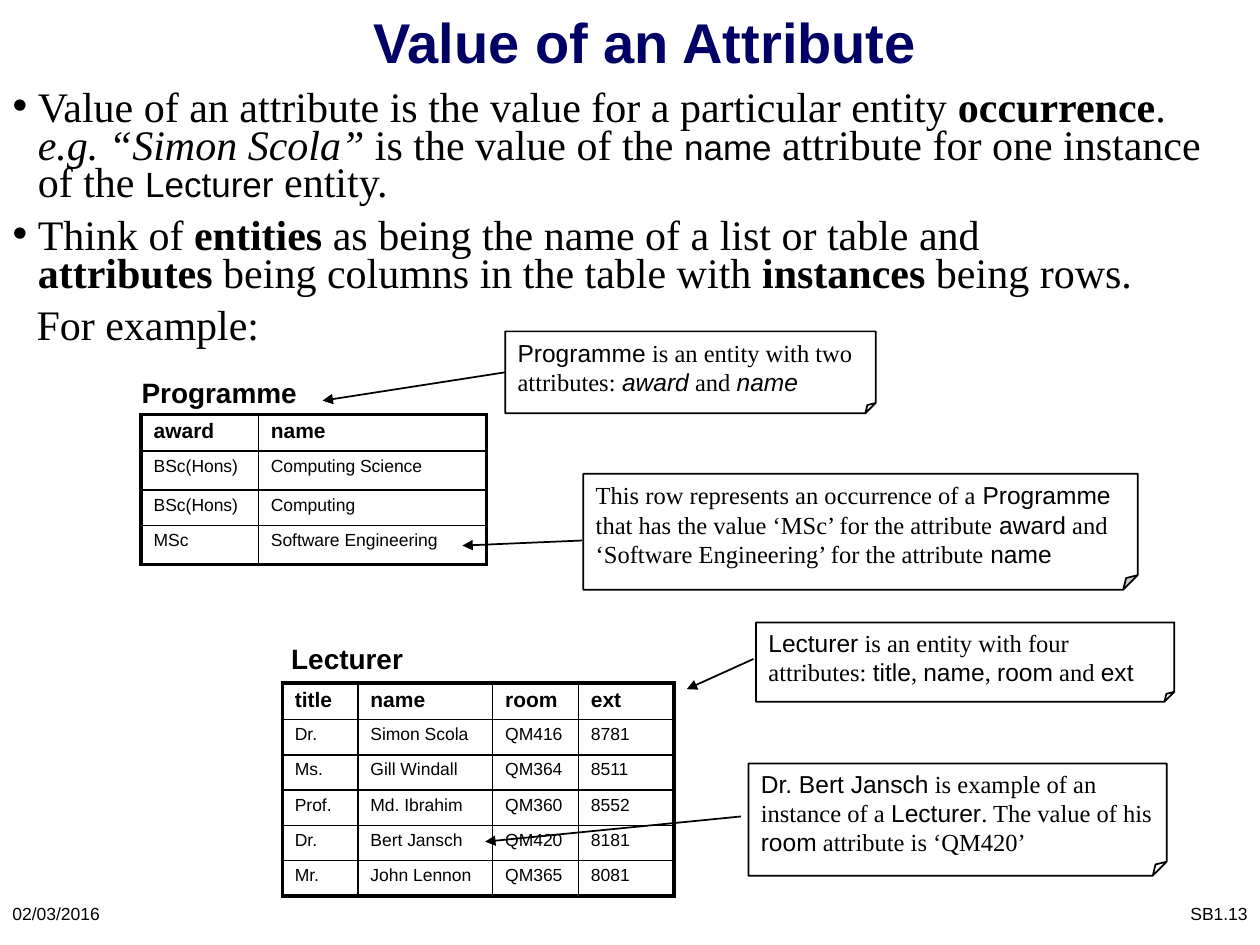
import pptx
import pptx.util
import pptx.dml.color
import pptx.enum.shapes
import pptx.enum.text
import pptx.oxml
import pptx.oxml.ns

Inches = pptx.util.Inches
Pt = pptx.util.Pt
ALIGN = pptx.enum.text.PP_ALIGN
ANCHOR = pptx.enum.text.MSO_ANCHOR

COLORS = {"ink": "000000", "title": "000066", "paper": "FFFFFF"}
SERIF, SANS = "Times New Roman", "Arial"

FONTS = {
    "title": {"name": SANS, "size": Pt(32), "bold": True},
    "body": {"name": SERIF, "size": Pt(24), "bold": False, "italic": False},
    "strong": {"name": SERIF, "size": Pt(24), "bold": True},
    "example": {"name": SERIF, "size": Pt(24), "italic": True},
    "term": {"name": SANS, "size": Pt(20)},
    "caption": {"name": SANS, "size": Pt(16), "bold": True},
    "note": {"name": SERIF, "size": Pt(14)},
    "note term": {"name": SANS, "size": Pt(14)},
    "note attribute": {"name": SANS, "size": Pt(14), "italic": True},
    "header": {"name": SANS, "size": Pt(12), "bold": True},
    "cell": {"name": SANS, "size": Pt(10), "bold": False},
    "footer": {"name": SANS, "size": Pt(10)},
}

BULLETS = [
    [("Value of an attribute is the value for a particular entity ", "body"),
     ("occurrence", "strong"), (".  \n", "body"), ("e.g. “Simon Scola” ", "example"),
     ("is the value of the ", "body"), ("name", "term"),
     (" attribute for one instance of the ", "body"), ("Lecturer", "term"),
     (" entity.", "body")],
    [("Think of ", "body"), ("entities", "strong"),
     (" as being the name of a list or table and \n", "body"), ("attributes", "strong"),
     (" being columns in the table with ", "body"), ("instances", "strong"),
     (" being rows.", "body")],
]

PROGRAMMES = [
    ["award", "name"],
    ["BSc(Hons)", "Computing Science"],
    ["BSc(Hons)", "Computing"],
    ["MSc", "Software Engineering"],
]

LECTURERS = [
    ["title", "name", "room", "ext"],
    ["Dr.", "Simon Scola", "QM416", "8781"],
    ["Ms.", "Gill Windall", "QM364", "8511"],
    ["Prof.", "Md. Ibrahim", "QM360", "8552"],
    ["Dr.", "Bert Jansch", "QM420", "8181"],
    ["Mr.", "John Lennon", "QM365", "8081"],
]

ROW_NOTE = [
    ("This row represents an occurrence of a ", "note"), ("Programme", "note term"),
    (" that has the value ‘MSc’ for the attribute ", "note"), ("award", "note term"),
    (" and ‘Software Engineering’ for the attribute ", "note"), ("name", "note term")]
PROGRAMME_NOTE = [
    ("Programme", "note term"), (" is an entity with two attributes: ", "note"),
    ("award", "note attribute"), (" and ", "note"), ("name", "note attribute")]
LECTURER_NOTE = [
    ("Lecturer", "note term"), (" is an entity with four attributes: ", "note"),
    ("title", "note term"), (", ", "note"), ("name", "note term"), (", ", "note"),
    ("room", "note term"), (" and ", "note"), ("ext", "note term")]
INSTANCE_NOTE = [
    ("Dr. Bert Jansch", "note term"), (" is example of an instance of a ", "note"),
    ("Lecturer", "note term"), (". The value of his ", "note"),
    ("room", "note term"), (" attribute is ‘QM420’", "note")]


def rgb(color):
    """Return the named colour."""
    return pptx.dml.color.RGBColor.from_string(COLORS[color])


def apply_format(target, values):
    """Set each attribute of target from a dict."""
    for attribute, value in values.items():
        setattr(target, attribute, value)


def write(paragraph, runs, color="ink", **values):
    """Fill a paragraph with styled runs; a newline becomes a line break."""
    apply_format(paragraph, values)
    for text, style in runs:
        for index, part in enumerate(text.split("\n")):
            if index:
                paragraph.add_line_break()
            if part:
                run = paragraph.add_run()
                run.text = part
                apply_format(run.font, FONTS[style])
                run.font.color.rgb = rgb(color)


def place(shape, left, top, width, height):
    """Move and size a shape in inches."""
    apply_format(shape, {"left": Inches(left), "top": Inches(top),
                         "width": Inches(width), "height": Inches(height)})


def fill_title(shape):
    """Write the slide title."""
    place(shape, 0.87, 0, 8.5, 0.66)
    apply_format(shape.text_frame, {"vertical_anchor": ANCHOR.MIDDLE, "word_wrap": True,
                                    "auto_size": pptx.enum.text.MSO_AUTO_SIZE.NONE})
    write(shape.text_frame.paragraphs[0], [("Value of an Attribute", "title")],
          "title", alignment=ALIGN.CENTER)


def set_bullet(paragraph, margin, indent, character=None):
    """Set the indents and the bullet of a paragraph."""
    properties = paragraph._p.get_or_add_pPr()
    properties.set("marL", str(Inches(margin)))
    properties.set("indent", str(Inches(indent)))
    bullet = pptx.oxml.ns.qn("a:buChar" if character else "a:buNone")
    element = properties.makeelement(bullet, {"char": character} if character else {})
    properties.append(element)


def fill_body(shape):
    """Write the bulleted list and the line that leads to the tables."""
    place(shape, 0, 0.68, 9.88, 2.26)
    frame = shape.text_frame
    apply_format(frame, {"vertical_anchor": ANCHOR.TOP, "word_wrap": True,
                         "auto_size": pptx.enum.text.MSO_AUTO_SIZE.NONE})
    spacing = {"line_spacing": 0.75, "space_before": Pt(8.4)}
    for index, runs in enumerate(BULLETS):
        paragraph = frame.add_paragraph() if index else frame.paragraphs[0]
        write(paragraph, runs, **spacing)
        set_bullet(paragraph, 0.2, -0.2, "•")
    paragraph = frame.add_paragraph()
    write(paragraph, [("For example:", "body")], **spacing)
    set_bullet(paragraph, 0.19, 0)


def add_label(slide, text, style, box, alignment, anchor=ANCHOR.TOP):
    """Add a single line of text that does not wrap."""
    label = slide.shapes.add_textbox(*map(Inches, box))
    apply_format(label.text_frame, {"word_wrap": False, "vertical_anchor": anchor})
    write(label.text_frame.paragraphs[0], [(text, style)], alignment=alignment)


def set_borders(cell, outer_sides):
    """Draw the cell borders, heavier on the sides at the table's edge."""
    properties = cell._tc.get_or_add_tcPr()
    for index, side in enumerate("LRTB"):
        width = Pt(2.25) if side in outer_sides else Pt(1)
        properties.insert(index, pptx.oxml.parse_xml(
            f'<a:ln{side} {pptx.oxml.ns.nsdecls("a")} w="{width}"><a:solidFill>'
            f'<a:srgbClr val="{COLORS["ink"]}"/></a:solidFill></a:ln{side}>'))


def add_entity_table(slide, left, top, widths, heights, rows):
    """Add a table with a bold header row and a heavy frame."""
    table = slide.shapes.add_table(
        len(rows), len(widths), Inches(left), Inches(top),
        Inches(sum(widths)), Inches(sum(heights))).table
    apply_format(table, {"first_row": False, "horz_banding": False})
    for column, width in zip(table.columns, widths):
        column.width = Inches(width)
    for row, height in zip(table.rows, heights):
        row.height = Inches(height)
    for row_index, values in enumerate(rows):
        style = "cell" if row_index else "header"
        for column_index, value in enumerate(values):
            cell = table.cell(row_index, column_index)
            cell.fill.solid()
            cell.fill.fore_color.rgb = rgb("paper")
            edges = {"L": column_index == 0, "R": column_index == len(widths) - 1,
                     "T": row_index == 0, "B": row_index == len(rows) - 1}
            set_borders(cell, [side for side, outer in edges.items() if outer])
            write(cell.text_frame.paragraphs[0], [(value, style)], line_spacing=0.95,
                  space_before=int(FONTS[style]["size"] * 0.35))


def add_note(slide, box, runs, fill=None):
    """Add a note with a folded corner."""
    note = slide.shapes.add_shape(
        pptx.enum.shapes.MSO_SHAPE.FOLDED_CORNER, *map(Inches, box))
    guides = note._element.spPr.find(".//" + pptx.oxml.ns.qn("a:avLst"))
    guides.append(guides.makeelement(pptx.oxml.ns.qn("a:gd"),
                                     {"name": "adj", "fmla": "val 12500"}))
    note.shadow.inherit = False
    note.fill.background()
    if fill:
        note.fill.solid()
        note.fill.fore_color.rgb = rgb(fill)
    note.line.color.rgb = rgb("ink")
    note.line.width = Pt(1)
    apply_format(note.text_frame, {"word_wrap": True, "vertical_anchor": ANCHOR.MIDDLE})
    write(note.text_frame.paragraphs[0], runs, alignment=ALIGN.LEFT, space_before=Pt(2.8))
    return note


def add_arrow(slide, start, end):
    """Add a straight arrow."""
    arrow = slide.shapes.add_connector(
        pptx.enum.shapes.MSO_CONNECTOR.STRAIGHT, *map(Inches, start + end))
    arrow.line.color.rgb = rgb("ink")
    arrow.line.width = Pt(1)
    namespace = pptx.oxml.ns.nsdecls("a")
    arrow.line._get_or_add_ln().append(
        pptx.oxml.parse_xml(f'<a:tailEnd {namespace} type="triangle"/>'))
    arrow._element.spPr.append(pptx.oxml.parse_xml(f"<a:effectLst {namespace}/>"))
    return arrow


def main():
    """Build the slide and save it."""
    presentation = pptx.Presentation()
    apply_format(presentation, {"slide_width": Inches(10), "slide_height": Inches(7.5)})
    slide = presentation.slides.add_slide(presentation.slide_layouts[1])
    add_label(slide, "02/03/2016", "footer", (0, 7, 2.08, 0.5), ALIGN.LEFT, ANCHOR.MIDDLE)
    add_label(slide, "SB1.13", "footer", (7.92, 7, 2.08, 0.5), ALIGN.RIGHT, ANCHOR.MIDDLE)
    fill_title(slide.shapes.title)
    fill_body(slide.placeholders[1])
    add_entity_table(slide, 1.12, 3.29, [0.93, 1.81], [0.29, 0.31, 0.28, 0.31], PROGRAMMES)
    add_label(slide, "Programme", "caption", (1.02, 2.93, 1.44, 0.37), ALIGN.CENTER)
    add_entity_table(slide, 2.24, 5.42, [0.6, 1.07, 0.68, 0.76],
                     [0.29] + [0.28] * 5, LECTURERS)
    add_label(slide, "Lecturer", "caption", (2.21, 5.04, 1.09, 0.37), ALIGN.CENTER)
    add_note(slide, (4.63, 3.76, 4.4, 0.92), ROW_NOTE, "paper")
    add_arrow(slide, (4.62, 4.29), (3.67, 4.33))
    programme_note = add_note(slide, (4.01, 2.63, 2.94, 0.65), PROGRAMME_NOTE)
    add_arrow(slide, (4.01, 2.94), (2.56, 3.18)).begin_connect(programme_note, 1)
    add_note(slide, (6, 4.94, 3.32, 0.63), LECTURER_NOTE)
    add_arrow(slide, (5.98, 5.23), (5.45, 5.47))
    add_note(slide, (5.94, 6.06, 3.32, 0.89), INSTANCE_NOTE)
    add_arrow(slide, (5.88, 6.48), (3.85, 6.68))
    presentation.save("out.pptx")


if __name__ == "__main__":
    main()
